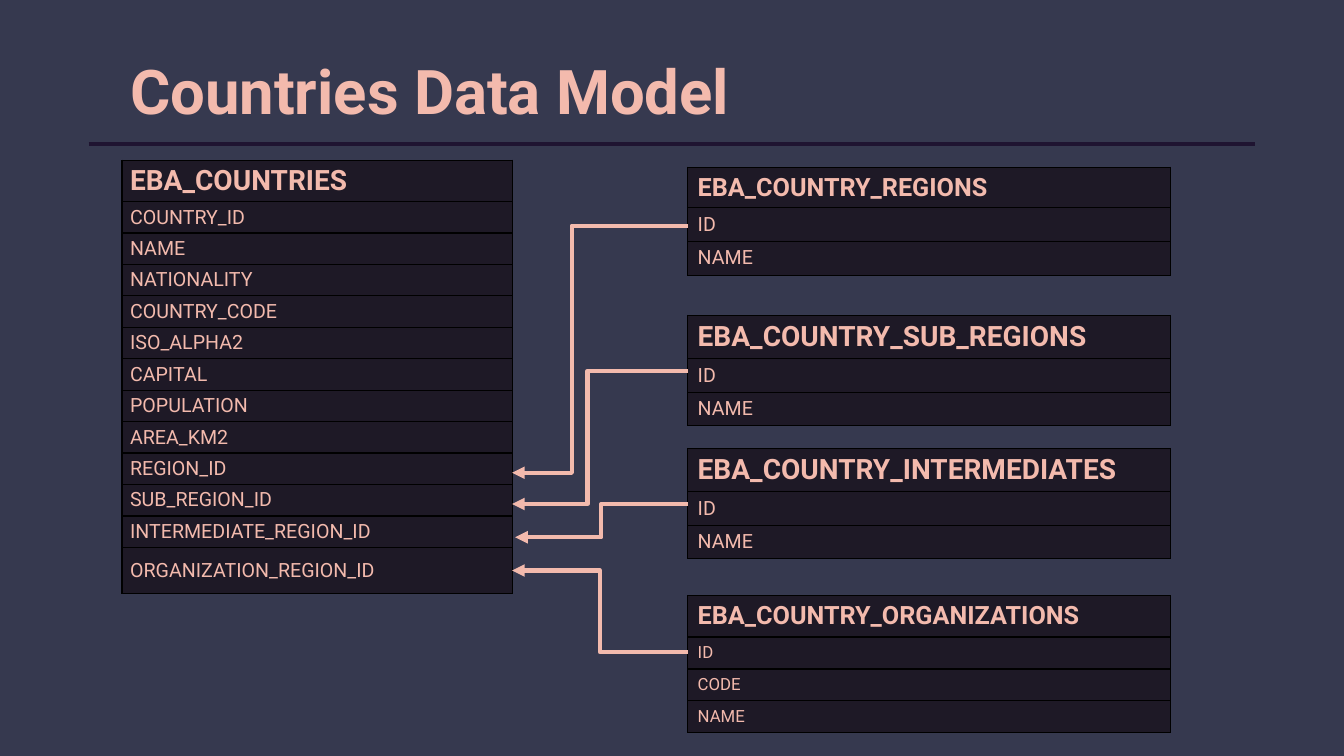
from lxml.etree import SubElement
from pptx import Presentation
from pptx.dml.color import RGBColor
from pptx.enum.shapes import MSO_CONNECTOR as Link
from pptx.enum.text import MSO_ANCHOR as Anchor, MSO_AUTO_SIZE as AutoSize, PP_ALIGN as Align
from pptx.oxml.ns import qn
from pptx.util import Inches, Pt


def color(hex_code):
    """Turn a hex string into a colour."""
    return RGBColor.from_string(hex_code)


class ModelSlide:
    """Hold the style and the current slide of a data model."""

    font, ink, page, panel, rule, border = "Roboto", "F3BAAD", "36394F", "1E1926", "1F1431", "000000"

    def __init__(self, deck):
        """Add a title-only slide with a plain background."""
        self.slide = deck.slides.add_slide(deck.slide_layouts[5])
        self.slide.background.fill.solid()
        self.slide.background.fill.fore_color.rgb = color(self.page)

    def label(self, frame, wording, size, bold):
        """Fill a text frame with one formatted, left-aligned line."""
        frame.text = wording
        line = frame.paragraphs[0]
        line.alignment = Align.LEFT
        face = line.runs[0].font
        face.name, face.size, face.bold = self.font, Pt(size), bold
        face.color.rgb = color(self.ink)

    def title(self, wording, left, top, width, height):
        """Place and format the title."""
        heading = self.slide.shapes.title
        heading.left, heading.top = Inches(left), Inches(top)
        heading.width, heading.height = Inches(width), Inches(height)
        heading.fill.solid()
        heading.fill.fore_color.rgb = color(self.page)
        self.label(heading.text_frame, wording, 44, True)
        heading.text_frame.auto_size = AutoSize.NONE
        heading.text_frame.vertical_anchor = Anchor.MIDDLE

    def outline(self, cell):
        """Draw thin borders around a cell."""
        properties = cell._tc.get_or_add_tcPr()
        for place, side in enumerate("LRTB"):
            edge = SubElement(properties, qn(f"a:ln{side}"), w=str(Pt(1)))
            fill = SubElement(edge, qn("a:solidFill"))
            SubElement(fill, qn("a:srgbClr"), val=self.border)
            properties.insert(place, edge)

    def entity(self, name, fields, left, top, width, height, header,
               name_size=20, field_size=14, last=None, insets=(0.1, 0.05)):
        """Add a table with a name row and evenly spaced field rows."""
        count = len(fields)
        pitch = (height - header - last) / (count - 1) if last else (height - header) / count
        heights = [header] + [pitch] * (count - 1) + [last or pitch]
        table = self.slide.shapes.add_table(
            count + 1, 1, Inches(left), Inches(top), Inches(width), Inches(height)).table
        table.first_row = table.horz_banding = False
        for index, wording in enumerate([name, *fields]):
            table.rows[index].height = Inches(heights[index])
            cell = table.cell(index, 0)
            cell.margin_left = cell.margin_right = Inches(insets[0])
            cell.margin_top = cell.margin_bottom = Inches(insets[1])
            cell.vertical_anchor = Anchor.MIDDLE
            cell.fill.solid()
            cell.fill.fore_color.rgb = color(self.panel)
            self.outline(cell)
            self.label(cell.text_frame, wording, field_size if index else name_size, not index)

    def line(self, start, end, hue, kind=Link.STRAIGHT):
        """Add a shadowless 3 pt line and return its properties."""
        connector = self.slide.shapes.add_connector(kind, *map(Inches, start + end))
        connector.line.color.rgb = color(hue)
        connector.line.width = Pt(3)
        properties = connector._element.spPr
        SubElement(properties, qn("a:effectLst"))
        return properties

    def relation(self, start, end, bend=0.5):
        """Add an elbow arrow from a key to the field that refers to it."""
        properties = self.line(start, end, self.ink, Link.ELBOW)
        SubElement(properties.find(qn("a:ln")), qn("a:tailEnd"), type="triangle")
        guides = properties.find(qn("a:prstGeom")).find(qn("a:avLst"))
        SubElement(guides, qn("a:gd"), name="adj1", fmla=f"val {round(bend * 100000)}")


deck = Presentation()
deck.slide_width, deck.slide_height = Inches(13.33), Inches(7.5)
model = ModelSlide(deck)
model.title("Countries Data Model", 1.19, 0.51, 9.04, 0.77)
model.line((0.88, 1.43), (12.45, 1.43), model.rule)

country_fields = [
    "COUNTRY_ID", "NAME", "NATIONALITY", "COUNTRY_CODE", "ISO_ALPHA2", "CAPITAL",
    "POPULATION", "AREA_KM2", "REGION_ID", "SUB_REGION_ID",
    "INTERMEDIATE_REGION_ID", "ORGANIZATION_REGION_ID",
]
model.entity("EBA_COUNTRIES", country_fields, 1.21, 1.59, 3.87, 4.3, 0.41,
             last=0.46, insets=(0.08, 0.04))

lookups = [
    ("REGIONS", ["ID", "NAME"], 1.66, 1.07, 0.4, 18, 14),
    ("SUB_REGIONS", ["ID", "NAME"], 3.13, 1.09, 0.43, 20, 14),
    ("INTERMEDIATES", ["ID", "NAME"], 4.45, 1.09, 0.43, 20, 14),
    ("ORGANIZATIONS", ["ID", "CODE", "NAME"], 5.91, 1.36, 0.41, 18, 12),
]
for name, fields, top, height, header, name_size, field_size in lookups:
    model.entity(f"EBA_COUNTRY_{name}", fields, 6.82, top, 4.79, height, header,
                 name_size, field_size)

relations = [
    (2.24, 5.08, 4.69, 0.66),
    (3.68, 5.08, 5, 0.57),
    (5, 5.11, 5.33, 0.5),
    (6.47, 5.08, 5.66, 0.5),
]
for key_y, field_x, field_y, bend in relations:
    model.relation((6.82, key_y), (field_x, field_y), bend)

deck.save("out.pptx")
